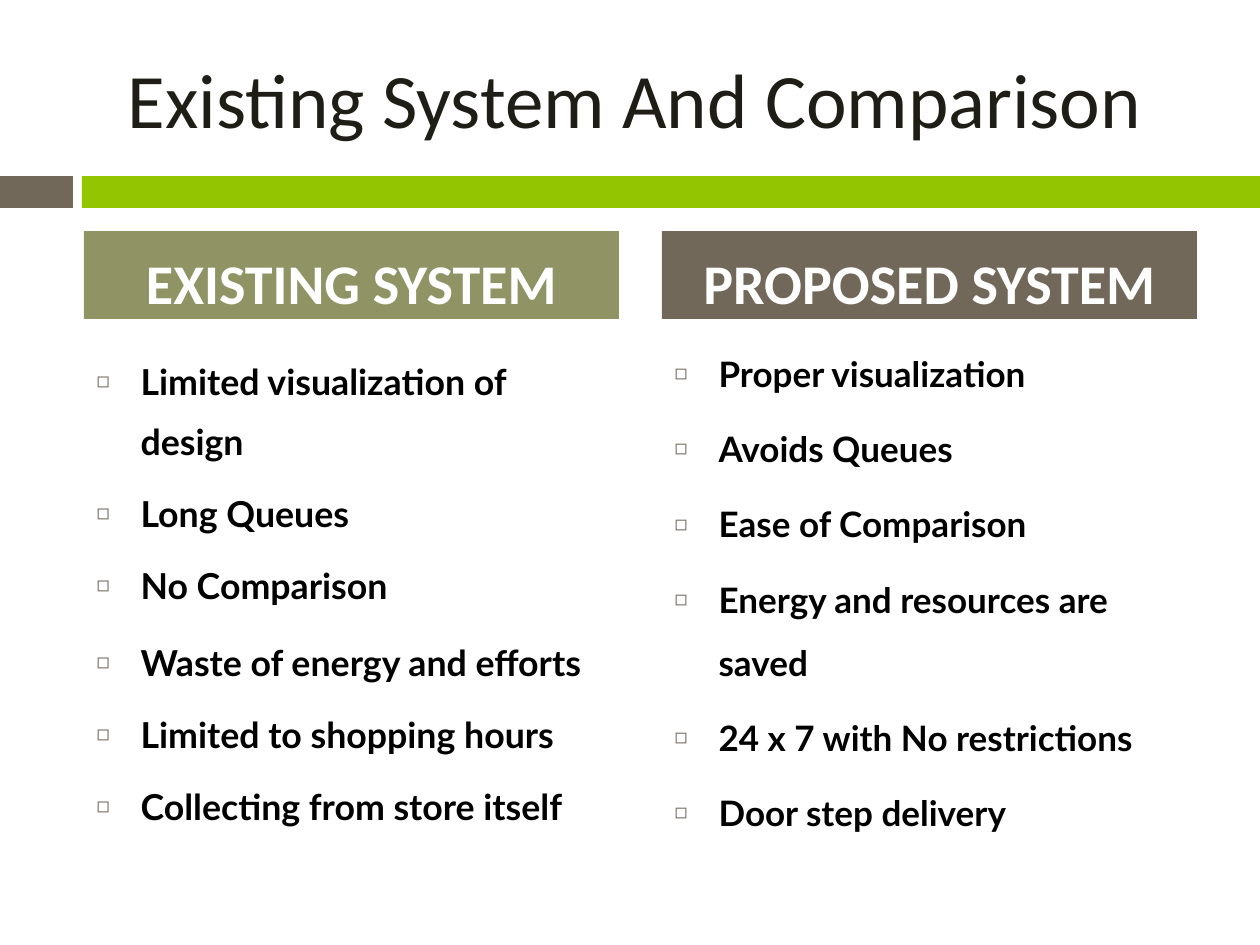
from dataclasses import dataclass

from lxml.etree import SubElement
from pptx import Presentation
from pptx.dml.color import RGBColor
from pptx.enum.shapes import MSO_SHAPE
from pptx.enum.text import MSO_ANCHOR, MSO_AUTO_SIZE, PP_ALIGN
from pptx.oxml.ns import qn
from pptx.util import Emu, Pt

EMU_PER_PX = 914400 / 126
COLORS = {
    "brown": "71685A",
    "green": "94C600",
    "olive": "909465",
    "title": "1F1E16",
    "black": "000000",
    "white": "FFFFFF",
}


@dataclass(frozen=True)
class Bar:
    left: int
    width: int
    color: str


@dataclass(frozen=True)
class Item:
    text: str
    line_spacing: float = 1.5


@dataclass(frozen=True)
class Column:
    heading: str
    color: str
    heading_index: int
    left: int
    list_top: int
    size: float
    items: tuple[Item, ...]


BARS = (Bar(0, 73, "brown"), Bar(82, 1178, "green"))
COLUMNS = (
    Column("EXISTING SYSTEM", "olive", 1, 84, 336, 20.4, (
        Item("Limited visualization of design", 1.4),
        Item("Long Queues", 1.4),
        Item("No Comparison", 1.4),
        Item("Waste of energy and efforts"),
        Item("Limited to shopping hours", 1.4),
        Item("Collecting from store itself", 1.4),
    )),
    Column("PROPOSED SYSTEM", "brown", 3, 662, 325, 20, (
        Item("Proper visualization"),
        Item("Avoids Queues"),
        Item("Ease of Comparison"),
        Item("Energy and resources are saved"),
        Item("24 x 7 with No restrictions"),
        Item("Door step delivery"),
    )),
)


def px(length: int) -> Emu:
    return Emu(round(length * EMU_PER_PX))


def color_of(name: str) -> RGBColor:
    return RGBColor.from_string(COLORS[name])


def place(box, left: int, top: int, width: int, height: int, anchor) -> None:
    box.left, box.top = px(left), px(top)
    box.width, box.height = px(width), px(height)
    frame = box.text_frame
    frame.word_wrap = True
    frame.auto_size = MSO_AUTO_SIZE.NONE
    frame.vertical_anchor = anchor


def add_span(para, text: str, font: str, size: float, color: str, bold: bool) -> None:
    span = para.add_run()
    span.text = text
    span.font.name = font
    span.font.size = Pt(size)
    span.font.bold = bold
    span.font.color.rgb = color_of(color)


def add_bullet(para) -> None:
    properties = para._p.get_or_add_pPr()
    properties.set("marL", str(px(44)))
    properties.set("indent", str(-px(44)))
    bullet_color = SubElement(properties, qn("a:buClr"))
    SubElement(bullet_color, qn("a:srgbClr"), val=COLORS["brown"])
    SubElement(properties, qn("a:buSzPct"), val="60000")
    SubElement(properties, qn("a:buFont"), typeface="Arial")
    SubElement(properties, qn("a:buChar"), char="◻")


def draw_bar(page, bar: Bar) -> None:
    box = page.shapes.add_shape(
        MSO_SHAPE.RECTANGLE, px(bar.left), px(176), px(bar.width), px(32))
    box.shadow.inherit = False
    box.fill.solid()
    box.fill.fore_color.rgb = color_of(bar.color)
    box.line.fill.background()


def draw_title(page, text: str) -> None:
    box = page.shapes.title
    place(box, 73, 38, 1124, 120, MSO_ANCHOR.MIDDLE)
    para = box.text_frame.paragraphs[0]
    para.alignment = PP_ALIGN.CENTER
    add_span(para, text, "Calibri", 44, "title", False)


def draw_heading(page, column: Column) -> None:
    box = page.placeholders[column.heading_index]
    place(box, column.left, 231, 535, 88, MSO_ANCHOR.MIDDLE)
    box.text_frame.margin_top = 0
    box.text_frame.margin_bottom = px(20)
    box.fill.solid()
    box.fill.fore_color.rgb = color_of(column.color)
    para = box.text_frame.paragraphs[0]
    para.alignment = PP_ALIGN.CENTER
    para.line_spacing = 1.5
    para.space_before = Pt(7)
    add_span(para, column.heading, "Calibri", 32, "white", True)


def draw_list(page, column: Column) -> None:
    box = page.placeholders[column.heading_index + 1]
    place(box, column.left, column.list_top, 535, 494, MSO_ANCHOR.TOP)
    frame = box.text_frame
    for number, item in enumerate(column.items):
        para = frame.add_paragraph() if number else frame.paragraphs[0]
        para.line_spacing = item.line_spacing
        para.space_before = Pt(7)
        add_bullet(para)
        add_span(para, item.text, "Lato", column.size, "black", True)


def main() -> None:
    deck = Presentation()
    deck.slide_width, deck.slide_height = px(1260), px(945)
    page = deck.slides.add_slide(deck.slide_layouts.get_by_name("Comparison"))
    for bar in BARS:
        draw_bar(page, bar)
    draw_title(page, "Existing System And Comparison")
    for column in COLUMNS:
        draw_list(page, column)
        draw_heading(page, column)
    deck.save("out.pptx")


if __name__ == "__main__":
    main()
